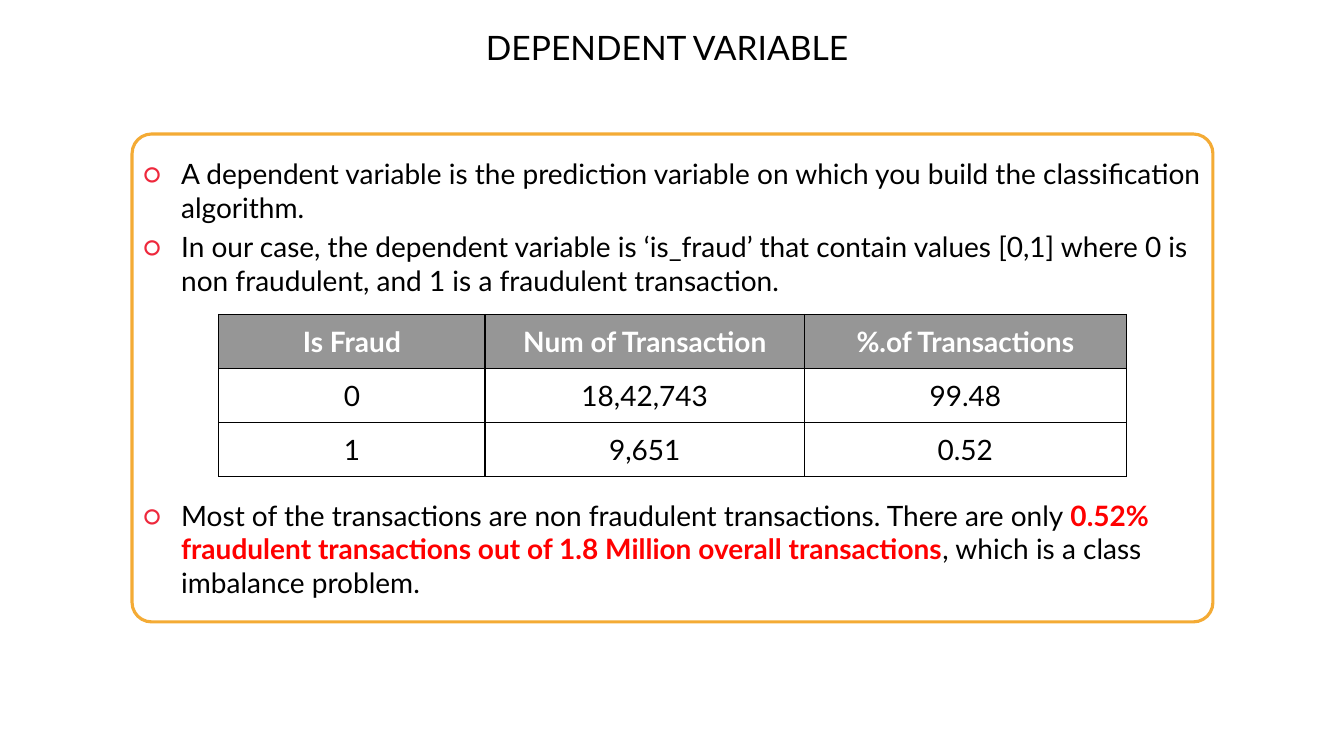
import pptx
import pptx.util
import pptx.dml.color
import pptx.enum.shapes
import pptx.enum.text
import pptx.oxml

EMU_PER_PX = 9144  # 100 px to the inch
FONT = "Lato"
COLORS = {
    "white": "FFFFFF", "black": "000000", "panel_line": "F4AB35",
    "bullet": "EE283C", "highlight": "FF0000", "header": "969696",
}
NAMESPACE = 'xmlns:a="http://schemas.openxmlformats.org/drawingml/2006/main"'
ALIGN = pptx.enum.text.PP_ALIGN
ANCHOR = pptx.enum.text.MSO_ANCHOR
SHAPES = pptx.enum.shapes.MSO_SHAPE

# Each bullet: its runs as (text, highlighted), space before and after in points.
# The third bullet leaves room above itself for the table.
BULLETS = [
    ([("A dependent variable is the prediction variable on which you build the "
       "classification algorithm.", False)], 2, 0),
    ([("In our case, the dependent variable is ‘is_fraud’ that contain values [0,1] "
       "where 0 is non fraudulent, and 1 is a fraudulent transaction.", False)], 4, 0),
    ([("Most of the transactions are non fraudulent transactions. There are only ", False),
      ("0.52% fraudulent transactions out of 1.8 Million overall transactions", True),
      (", which is a class imbalance problem.", False)], 144, 2),
]
TABLE_ROWS = [
    ["Is Fraud", "Num of Transaction", "%.of Transactions"],
    ["0", "18,42,743", "99.48"],
    ["1", "9,651", "0.52"],
]
COLUMN_WIDTHS = [264, 317, 319]
ROW_HEIGHT = 53


def px(length):
    return pptx.util.Emu(length * EMU_PER_PX)


def rgb(name):
    return pptx.dml.color.RGBColor.from_string(COLORS[name])


def apply_format(target, values):
    for name, value in values.items():
        setattr(target, name, value)


def margins(horizontal, vertical):
    return {"margin_left": px(horizontal), "margin_right": px(horizontal),
            "margin_top": px(vertical), "margin_bottom": px(vertical)}


def add_run(paragraph, text, size=20, color="black", bold=False):
    run = paragraph.add_run()
    run.text = text
    apply_format(run.font, {"name": FONT, "size": pptx.util.Pt(size), "bold": bold})
    run.font.color.rgb = rgb(color)


def add_box(slide, kind, left, top, width, height):
    shape = slide.shapes.add_shape(kind, px(left), px(top), px(width), px(height))
    shape.shadow.inherit = False
    shape.text_frame.word_wrap = True
    return shape


def add_title(slide, text):
    shape = add_box(slide, SHAPES.RECTANGLE, 301, 22, 730, 57)
    shape.fill.solid()
    shape.fill.fore_color.rgb = rgb("white")
    shape.line.fill.background()
    apply_format(shape.text_frame, {"vertical_anchor": ANCHOR.TOP, **margins(10, 5)})
    paragraph = shape.text_frame.paragraphs[0]
    paragraph.alignment = ALIGN.CENTER
    add_run(paragraph, text, size=24)


def add_bullet(paragraph, runs, before, after):
    apply_format(paragraph, {
        "alignment": ALIGN.LEFT,
        "space_before": pptx.util.Pt(before),
        "space_after": pptx.util.Pt(after),
    })
    properties = paragraph._p.get_or_add_pPr()
    properties.set("marL", str(px(38)))
    properties.set("indent", str(px(-38)))
    for markup in (
        f'<a:buClr {NAMESPACE}><a:srgbClr val="{COLORS["bullet"]}"/></a:buClr>',
        f'<a:buFont {NAMESPACE} typeface="{FONT}"/>',
        f'<a:buChar {NAMESPACE} char="○"/>',
    ):
        properties.append(pptx.oxml.parse_xml(markup))
    for text, highlighted in runs:
        add_run(paragraph, text, color="highlight" if highlighted else "black",
                bold=highlighted)


def add_panel(slide, bullets):
    shape = add_box(slide, SHAPES.ROUNDED_RECTANGLE, 131, 133, 1072, 484)
    shape.adjustments[0] = 0.04
    shape.fill.background()
    shape.line.color.rgb = rgb("panel_line")
    shape.line.width = pptx.util.Pt(2.25)
    frame = shape.text_frame
    apply_format(frame, {"vertical_anchor": ANCHOR.MIDDLE, **margins(5, 13)})
    for index, bullet in enumerate(bullets):
        paragraph = frame.add_paragraph() if index else frame.paragraphs[0]
        add_bullet(paragraph, *bullet)


def add_borders(cell):
    properties = cell._tc.get_or_add_tcPr()
    for side in ("lnL", "lnR", "lnT", "lnB"):
        properties.append(pptx.oxml.parse_xml(
            f'<a:{side} {NAMESPACE} w="{pptx.util.Pt(1)}"><a:solidFill>'
            f'<a:srgbClr val="{COLORS["black"]}"/></a:solidFill></a:{side}>'))


def fill_cell(cell, text, is_header):
    apply_format(cell, {"vertical_anchor": ANCHOR.MIDDLE, **margins(10, 10)})
    add_borders(cell)
    if is_header:
        cell.fill.solid()
        cell.fill.fore_color.rgb = rgb("header")
    else:
        cell.fill.background()
    paragraph = cell.text_frame.paragraphs[0]
    paragraph.alignment = ALIGN.CENTER
    add_run(paragraph, text, color="white" if is_header else "black", bold=is_header)


def add_fraud_table(slide, rows):
    table = slide.shapes.add_table(
        len(rows), len(COLUMN_WIDTHS), px(217), px(312),
        px(sum(COLUMN_WIDTHS)), px(ROW_HEIGHT * len(rows))).table
    table.horz_banding = False
    for column, width in zip(table.columns, COLUMN_WIDTHS):
        column.width = px(width)
    for row_index, row in enumerate(rows):
        for column_index, text in enumerate(row):
            fill_cell(table.cell(row_index, column_index), text, row_index == 0)


def main():
    presentation = pptx.Presentation()
    presentation.slide_width = px(1333)
    presentation.slide_height = px(750)
    slide = presentation.slides.add_slide(presentation.slide_layouts[6])

    # Title, then the panel of bullets with the table over its gap
    add_title(slide, "DEPENDENT VARIABLE ")
    add_panel(slide, BULLETS)
    add_fraud_table(slide, TABLE_ROWS)

    presentation.save("out.pptx")


if __name__ == "__main__":
    main()
